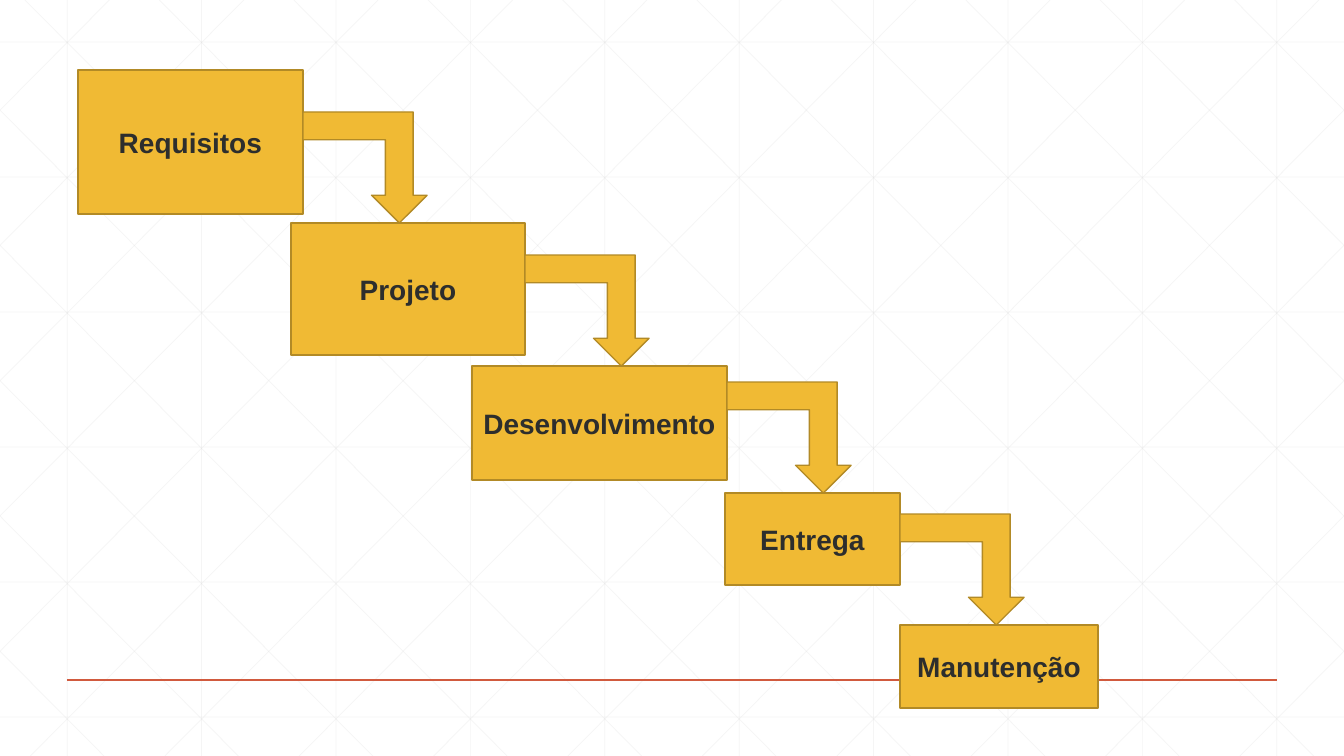
import pptx
import pptx.util
import pptx.dml.color
import pptx.enum.shapes
import pptx.enum.text
import pptx.oxml
import pptx.oxml.ns

RGBColor = pptx.dml.color.RGBColor
GRID_GREY = RGBColor(0xD9, 0xD9, 0xD9)
RULE_RED = RGBColor(0xD1, 0x5A, 0x3E)
STEP_YELLOW = RGBColor(0xF0, 0xBA, 0x34)
STEP_BORDER = RGBColor(0xB2, 0x8A, 0x26)
TEXT_DARK = RGBColor(0x2D, 0x2E, 0x2D)

PIXELS_PER_INCH = 100.8
SLIDE_WIDTH, SLIDE_HEIGHT = 1344, 756
ARROW_WIDTH, ARROW_HEIGHT = 124, 111

# Waterfall steps: label, left, top, width, height
STEPS = [
    ("Requisitos", 78, 70, 225, 144),
    ("Projeto", 291, 223, 234, 132),
    ("Desenvolvimento", 472, 366, 255, 114),
    ("Entrega", 725, 493, 175, 92),
    ("Manutenção", 900, 625, 198, 83),
]


def px(length):
    return pptx.util.Inches(length / PIXELS_PER_INCH)


def add_line(shapes, start, end, color, width, opacity=None):
    line = shapes.add_connector(
        pptx.enum.shapes.MSO_CONNECTOR.STRAIGHT,
        *(px(length) for length in (*start, *end)))
    line.line.color.rgb = color
    line.line.width = pptx.util.Pt(width)
    properties = line.element.spPr
    if opacity is not None:
        color_element = properties.find(".//" + pptx.oxml.ns.qn("a:srgbClr"))
        alpha = pptx.oxml.parse_xml(
            f'<a:alpha {pptx.oxml.ns.nsdecls("a")} val="{opacity * 1000}"/>')
        color_element.append(alpha)
    properties.append(pptx.oxml.parse_xml(
        f'<a:effectLst {pptx.oxml.ns.nsdecls("a")}/>'))


def add_block(slide, kind, left, top, width, height):
    shape = slide.shapes.add_shape(
        kind, px(left), px(top), px(width), px(height))
    shape.shadow.inherit = False
    shape.fill.solid()
    shape.fill.fore_color.rgb = STEP_YELLOW
    shape.line.color.rgb = STEP_BORDER
    shape.line.width = pptx.util.Pt(1)
    return shape


def write_text(shape, text, size=20, color=TEXT_DARK, bold=True, font="Arial"):
    frame = shape.text_frame
    frame.word_wrap = True
    frame.vertical_anchor = pptx.enum.text.MSO_ANCHOR.MIDDLE
    paragraph = frame.paragraphs[0]
    paragraph.alignment = pptx.enum.text.PP_ALIGN.CENTER
    run = paragraph.add_run()
    run.text = text
    run.font.name = font
    run.font.size = pptx.util.Pt(size)
    run.font.bold = bold
    run.font.color.rgb = color


def draw_grid(slide, left, top, width, height):
    shapes = slide.shapes.add_group_shape().shapes
    right, bottom = left + width, top + height
    column = width / 10
    row = 135
    segments = []
    # Verticals and horizontals
    for index in range(10):
        x = left + (index + 0.5) * column
        segments.append(((x, top), (x, bottom)))
    for index in range(6):
        y = top + 42 + index * row
        segments.append(((left, y), (right, y)))
    # Diagonals clipped to the box, each with its mirror image
    run = 751
    slope = height / run
    for index in range(-5, 10):
        offset = 25 + index * column
        x1, x2 = max(0, offset), min(width, offset + run)
        y1, y2 = (top + (x - offset) * slope for x in (x1, x2))
        segments.append(((left + x1, y1), (left + x2, y2)))
        segments.append(((right - x1, y1), (right - x2, y2)))
    for start, end in segments:
        add_line(shapes, start, end, GRID_GREY, 0.5, opacity=25)


def draw_footer_rule(slide, left, top, width):
    add_line(slide.shapes, (left, top), (left + width, top), RULE_RED, 1)


def draw_step(slide, label, left, top, width, height):
    step = add_block(
        slide, pptx.enum.shapes.MSO_SHAPE.FLOWCHART_PROCESS,
        left, top, width, height)
    write_text(step, label)


def draw_arrow(slide, left, bottom):
    arrow = add_block(
        slide, pptx.enum.shapes.MSO_SHAPE.BENT_UP_ARROW,
        left, bottom - ARROW_HEIGHT, ARROW_WIDTH, ARROW_HEIGHT)
    # Half a turn plus a mirror points the arrow down on the right
    arrow.rotation = 180
    arrow.element.spPr.find(pptx.oxml.ns.qn("a:xfrm")).set("flipH", "1")


def draw_waterfall(slide):
    for step in STEPS:
        draw_step(slide, *step)
    # Each arrow leaves a step's right edge and lands on the next step's top
    for (_, left, _, width, _), (_, _, next_top, _, _) in zip(STEPS, STEPS[1:]):
        draw_arrow(slide, left + width, next_top)


def main():
    presentation = pptx.Presentation()
    presentation.slide_width = px(SLIDE_WIDTH)
    presentation.slide_height = px(SLIDE_HEIGHT)
    slide = presentation.slides.add_slide(presentation.slide_layouts[6])
    draw_grid(slide, 0, 0, SLIDE_WIDTH, SLIDE_HEIGHT)
    draw_footer_rule(slide, 67, 680, 1210)
    draw_waterfall(slide)
    presentation.save("out.pptx")


if __name__ == "__main__":
    main()
